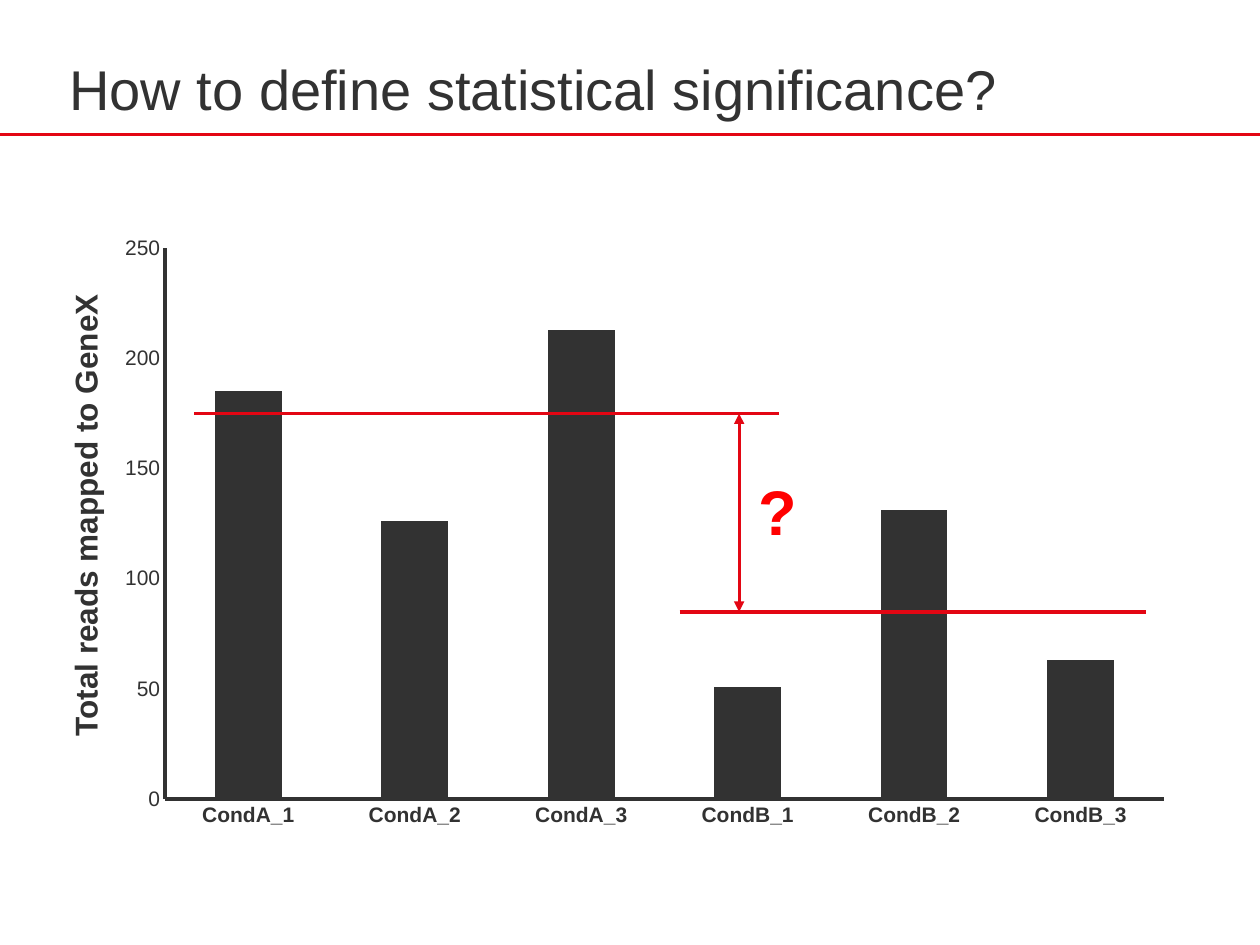
from dataclasses import dataclass

from lxml import etree
from pptx import Presentation
from pptx.chart.data import CategoryChartData
from pptx.dml.color import RGBColor
from pptx.enum.chart import XL_CHART_TYPE, XL_TICK_MARK
from pptx.enum.shapes import MSO_CONNECTOR
from pptx.enum.text import MSO_ANCHOR, MSO_AUTO_SIZE, PP_ALIGN
from pptx.oxml import parse_xml
from pptx.oxml.ns import nsdecls, qn
from pptx.util import Inches, Pt

STACKED = XL_CHART_TYPE.COLUMN_STACKED
NO_TICK = XL_TICK_MARK.NONE
STRAIGHT = MSO_CONNECTOR.STRAIGHT
MIDDLE = MSO_ANCHOR.MIDDLE
LEFT = PP_ALIGN.LEFT
NO_FIT = MSO_AUTO_SIZE.NONE


@dataclass(frozen=True)
class Theme:
    """Colours, font and type sizes of the slide."""
    ink: RGBColor = RGBColor(0x32, 0x32, 0x32)
    accent: RGBColor = RGBColor(0xE3, 0x06, 0x13)
    alert: RGBColor = RGBColor(0xFF, 0, 0)
    font: str = "Arial"
    title: int = 32
    mark: int = 36
    label: int = 18
    tick: int = 12


THEME = Theme()
READS = {"CondA_1": 185, "CondA_2": 126, "CondA_3": 213,
         "CondB_1": 51, "CondB_2": 131, "CondB_3": 63}
AXIS_MAX = 250
MEAN_A, MEAN_B = 175, 85
PLOT_SHARE = {"x": 0.056, "y": 0.039, "w": 0.924, "h": 0.896}


def style_font(font, size, color, bold=False):
    """Apply the theme font with a size, colour and weight."""
    font.name, font.size, font.bold = THEME.font, Pt(size), bold
    font.color.rgb = color


def fill_text(s, text, size, color, bold=False, wrap=False):
    """Write one left-aligned line without margins into a shape."""
    tf = s.text_frame
    tf.auto_size, tf.word_wrap = NO_FIT, wrap
    tf.margin_left = tf.margin_top = tf.margin_right = tf.margin_bottom = 0
    p = tf.paragraphs[0]
    p.text, p.alignment = text, LEFT
    style_font(p.font, size, color, bold)


def add_line(slide, start, end, width, arrows=False):
    """Draw an accent line, with arrowheads at both ends on request."""
    s = slide.shapes.add_connector(STRAIGHT, *map(Inches, start + end))
    s.line.color.rgb, s.line.width = THEME.accent, Pt(width)
    if arrows:
        ln = s.line._get_or_add_ln()
        for tag in ("a:headEnd", "a:tailEnd"):
            etree.SubElement(ln, qn(tag), type="triangle")
    etree.SubElement(s._element.spPr, qn("a:effectLst"))


def add_title(slide, box, text, rule_y, rule_w):
    """Place the title and the full-width rule beneath it."""
    s = slide.shapes.title
    s.left, s.top, s.width, s.height = map(Inches, box)
    fill_text(s, text, THEME.title, THEME.ink, wrap=True)
    s.text_frame.vertical_anchor = MIDDLE
    add_line(slide, (0, rule_y), (rule_w, rule_y), 1.5)


def style_axis(axis, bold=False):
    """Give an axis a solid line, no ticks and no gridlines."""
    axis.has_major_gridlines = False
    axis.major_tick_mark = axis.minor_tick_mark = NO_TICK
    axis.format.line.color.rgb, axis.format.line.width = THEME.ink, Pt(2)
    style_font(axis.tick_labels.font, THEME.tick, THEME.ink, bold)


def fix_plot_area(chart):
    """Pin the inner plot area to its shares of the chart box."""
    area = chart._chartSpace.chart.plotArea
    for old in area.findall(qn("c:layout")):
        area.remove(old)
    modes = '<c:xMode val="edge"/><c:yMode val="edge"/>'
    sizes = "".join(f'<c:{k} val="{v}"/>' for k, v in PLOT_SHARE.items())
    area.insert(0, parse_xml(
        f'<c:layout {nsdecls("c")}><c:manualLayout><c:layoutTarget val="inner"/>'
        f'{modes}{sizes}</c:manualLayout></c:layout>'))


def add_reads_chart(slide, box):
    """Place the column chart of reads per sample."""
    data = CategoryChartData()
    data.categories = list(READS)
    data.add_series("Series 1", list(READS.values()))
    chart = slide.shapes.add_chart(STACKED, *map(Inches, box), data).chart
    chart.has_legend = chart.has_title = False
    style_font(chart.font, THEME.tick, THEME.ink)
    style_axis(chart.category_axis, bold=True)
    axis = chart.value_axis
    style_axis(axis)
    axis.minimum_scale, axis.maximum_scale, axis.major_unit = 0, AXIS_MAX, 50
    plot = chart.plots[0]
    plot.gap_width, plot.overlap, plot.vary_by_categories = 150, 100, False
    fill = plot.series[0].format.fill
    fill.solid()
    fill.fore_color.rgb = THEME.ink
    fix_plot_area(chart)


def add_means(slide, box):
    """Mark both condition means and the gap in question over the chart."""
    x, y, w, h = box

    def at(share, value):
        """Return the point at a share of the width and an axis value."""
        drop = PLOT_SHARE["y"] + PLOT_SHARE["h"] * (1 - value / AXIS_MAX)
        return x + w * share, y + h * drop

    add_line(slide, at(0.083, MEAN_A), at(0.624, MEAN_A), 2)
    add_line(slide, at(0.532, MEAN_B), at(0.963, MEAN_B), 2)
    add_line(slide, at(0.587, MEAN_A), at(0.587, MEAN_B), 1.75, arrows=True)
    mark = (x + w * 0.605, y + h * 0.404, 0.3, 0.6)
    s = slide.shapes.add_textbox(*map(Inches, mark))
    fill_text(s, "?", THEME.mark, THEME.alert, bold=True)


def add_axis_label(slide, box, text):
    """Place the upright value-axis label."""
    s = slide.shapes.add_textbox(*map(Inches, box))
    s.rotation = 270
    fill_text(s, text, THEME.label, THEME.ink, bold=True)


def main():
    """Build and save the slide."""
    prs = Presentation()
    prs.slide_width, prs.slide_height = Inches(10), Inches(7.5)
    slide = prs.slides.add_slide(prs.slide_layouts[5])
    chart_box = (0.83, 1.78, 8.58, 4.88)
    add_title(slide, (0.55, 0.44, 8.86, 0.52),
              "How to define statistical significance?", 1.07, 10)
    add_reads_chart(slide, chart_box)
    add_means(slide, chart_box)
    add_axis_label(slide, (-1.08, 3.94, 3.51, 0.3), "Total reads mapped to GeneX")
    prs.save("out.pptx")


if __name__ == "__main__":
    main()
